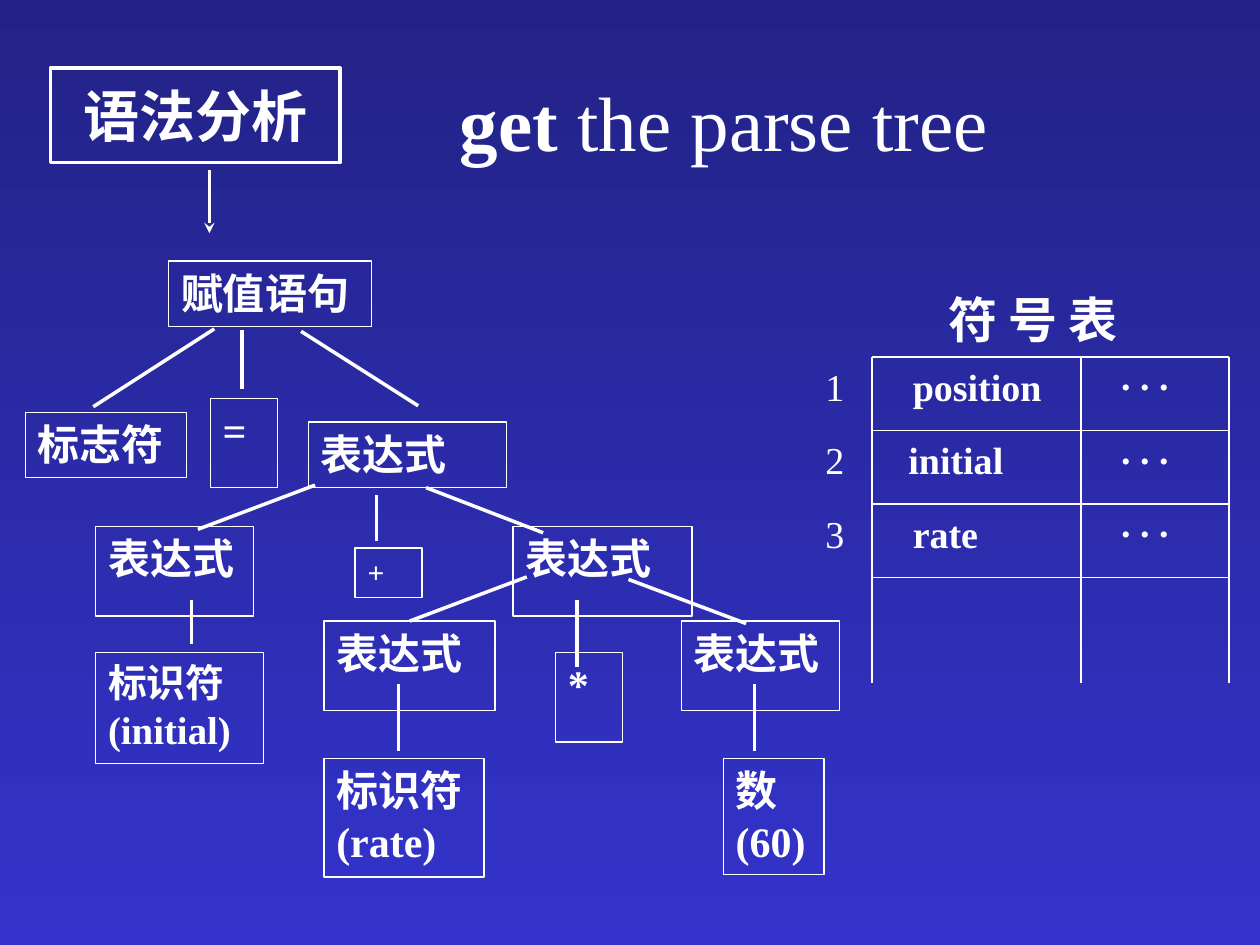
from lxml import etree
from pptx import Presentation
from pptx.dml.color import RGBColor
from pptx.enum.shapes import MSO_CONNECTOR as Connector, MSO_SHAPE as Preset
from pptx.enum.text import MSO_ANCHOR as Anchor, PP_ALIGN as Align
from pptx.oxml.ns import qn
from pptx.util import Cm, Pt

COLORS = {"top": "222286", "bottom": "3333CC", "ink": "FFFFFF"}
LATIN = "Times New Roman"
CHINESE = "Noto Sans CJK SC"


class SlideBuilder:
    """Holds the style and the current slide."""

    def __init__(self, presentation):
        self.slide = presentation.slides.add_slide(presentation.slide_layouts[5])
        self.ink = RGBColor.from_string(COLORS["ink"])

    def background(self):
        fill = self.slide.background.fill
        fill.gradient()
        fill.gradient_angle = 270
        for stop, name in zip(fill.gradient_stops, ("top", "bottom")):
            stop.color.rgb = RGBColor.from_string(COLORS[name])

    def run(self, paragraph, text, size, bold=True, font=LATIN):
        run = paragraph.add_run()
        run.text = text
        run.font.size = Pt(size)
        run.font.bold = bold
        run.font.name = font
        run.font.color.rgb = self.ink
        latin = run.font._element.find(qn("a:latin"))
        east_asian = etree.Element(qn("a:ea"), typeface=CHINESE)
        latin.addnext(east_asian)

    def add_lines(self, shape, lines, size, align, bold=True, font=LATIN, anchor=Anchor.TOP):
        frame = shape.text_frame
        frame.word_wrap = True
        frame.vertical_anchor = anchor
        for index, line in enumerate(lines):
            paragraph = frame.add_paragraph() if index else frame.paragraphs[0]
            paragraph.alignment = align
            self.run(paragraph, line, size, bold, font)

    def title(self, box, runs):
        title = self.slide.shapes.title
        title.left, title.top, title.width, title.height = map(Cm, box)
        frame = title.text_frame
        frame.vertical_anchor = Anchor.MIDDLE
        frame.margin_left = Cm(4.45)
        paragraph = frame.paragraphs[0]
        paragraph.alignment = Align.CENTER
        for text, bold in runs:
            self.run(paragraph, text, 44, bold)

    def label(self, box, text, size=21.7, bold=True, font=LATIN):
        shape = self.slide.shapes.add_textbox(*map(Cm, box))
        self.add_lines(shape, [text], size, Align.CENTER, bold, font)

    def node(self, box, lines, size=24, border=0.75, align=Align.JUSTIFY, **style):
        shape = self.slide.shapes.add_shape(Preset.RECTANGLE, *map(Cm, box))
        shape.shadow.inherit = False
        shape.fill.background()
        shape.line.color.rgb = self.ink
        shape.line.width = Pt(border)
        self.add_lines(shape, lines, size, align, **style)

    def line(self, ends, width=2, arrow=False):
        connector = self.slide.shapes.add_connector(Connector.STRAIGHT, *map(Cm, ends))
        connector.line.color.rgb = self.ink
        connector.line.width = Pt(width)
        properties = connector.element.spPr
        etree.SubElement(properties, qn("a:effectLst"))
        if arrow:
            outline = properties.find(qn("a:ln"))
            etree.SubElement(outline, qn("a:tailEnd"), type="stealth")


def symbol_table(builder):
    left, middle, right = 17.58, 21.79, 24.77
    top, row_height, bottom = 7.2, 1.48, 13.77
    builder.label((18.06, 5.72, 5.51, 1.7), "符 号 表", 28, font=CHINESE)

    # Grid, open at the bottom
    for x in (left, middle, right):
        builder.line((x, top, x, bottom), width=1)
    for row in range(4):
        y = top + row * row_height
        builder.line((left, y, right, y), width=1)

    # Entries
    entries = [("position", 17.58), ("initial", 17.15), ("rate", 16.94)]
    for row, (name, x) in enumerate(entries):
        y = top + row * row_height
        builder.label((15.88, y, 1.9, 1.27), str(row + 1), bold=False)
        builder.label((x, y, 4.24, 1.27), name)
        builder.label((21.39, y - 0.21, 3.38, 1.27), ". . .")


def parse_tree(builder):
    # Nodes, level by level
    nodes = [
        ((3.4, 5.26, 4.09, 1.32), ["赋值语句"], 24),
        ((0.51, 8.31, 3.25, 1.32), ["标志符"], 24),
        ((4.24, 8.03, 1.35, 1.8), ["="], 24),
        ((6.22, 8.51, 3.99, 1.32), ["表达式"], 24),
        ((1.93, 10.62, 3.18, 1.8), ["表达式"], 24),
        ((7.16, 11.05, 1.35, 0.99), ["+"], 16.8),
        ((10.34, 10.62, 3.61, 1.8), ["表达式"], 24),
        ((1.93, 13.16, 3.38, 2.24), ["标识符", "(initial)"], 22.2),
        ((6.53, 12.52, 3.45, 1.8), ["表达式"], 24),
        ((11.2, 13.16, 1.35, 1.8), ["*"], 24),
        ((13.74, 12.52, 3.18, 1.8), ["表达式"], 24),
        ((6.53, 15.29, 3.23, 2.39), ["标识符", "(rate)"], 24),
        ((14.58, 15.29, 2.03, 2.34), ["数", "(60)"], 24),
    ]
    for box, lines, size in nodes:
        builder.node(box, lines, size)

    # Branches, level by level
    branches = [
        (4.32, 6.63, 1.88, 8.2), (4.88, 6.65, 4.88, 7.85), (6.07, 6.68, 8.43, 8.18),
        (6.35, 9.78, 3.99, 10.67), (7.59, 9.98, 7.59, 10.9), (8.59, 9.83, 10.95, 10.74),
        (3.86, 12.09, 3.86, 12.98), (10.62, 11.63, 8.26, 12.52),
        (11.63, 12.09, 11.63, 13.44), (12.67, 11.68, 15.04, 12.57),
        (8.03, 13.79, 8.03, 15.14), (15.21, 13.79, 15.21, 15.14),
    ]
    for ends in branches:
        builder.line(ends)


def main():
    presentation = Presentation()
    presentation.slide_width, presentation.slide_height = Cm(25.4), Cm(19.05)
    builder = SlideBuilder(presentation)
    builder.background()
    builder.title((1.7, 0.84, 21.59, 3.18), [("get", True), (" the parse tree", False)])
    symbol_table(builder)
    parse_tree(builder)

    # Analysis step leading to the tree
    builder.node((1.02, 1.37, 5.84, 1.91), ["语法分析"], 32, border=2,
                 align=Align.CENTER, font=CHINESE, anchor=Anchor.MIDDLE)
    builder.line((4.22, 3.43, 4.22, 4.7), arrow=True)
    presentation.save("out.pptx")


if __name__ == "__main__":
    main()
